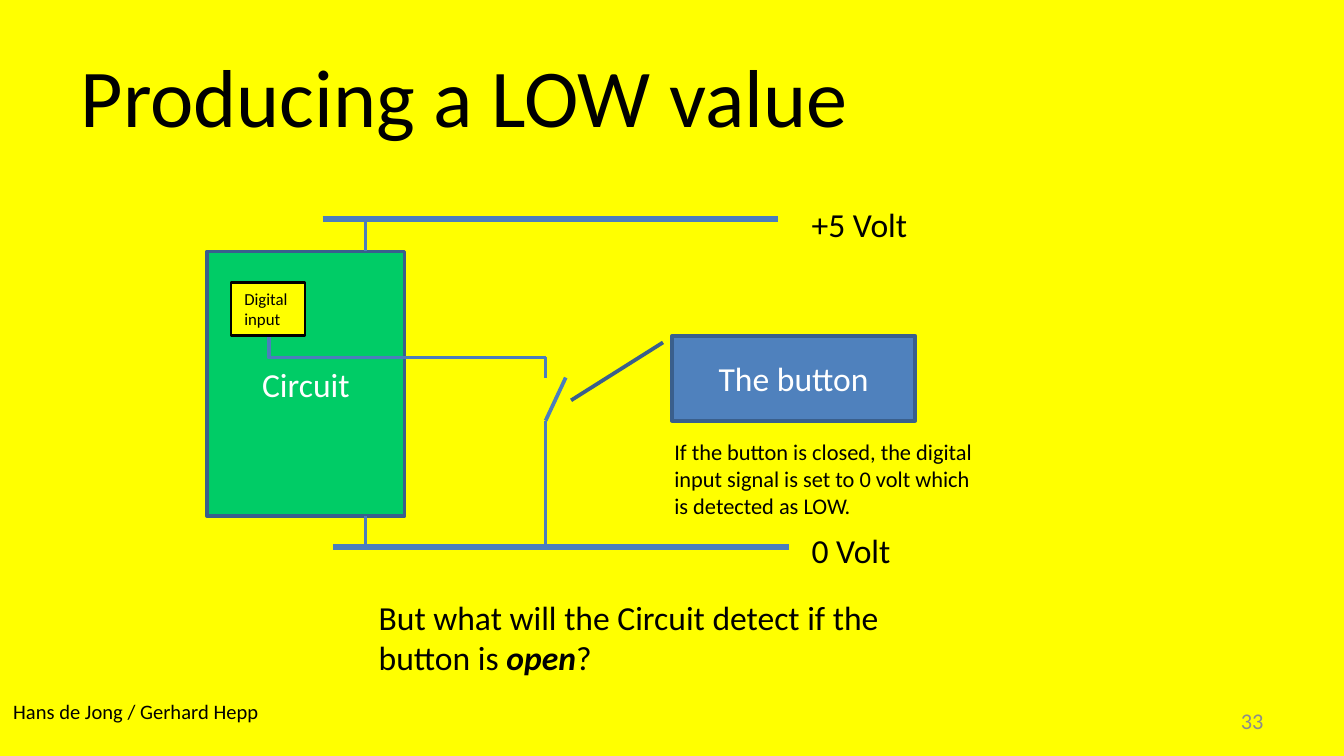
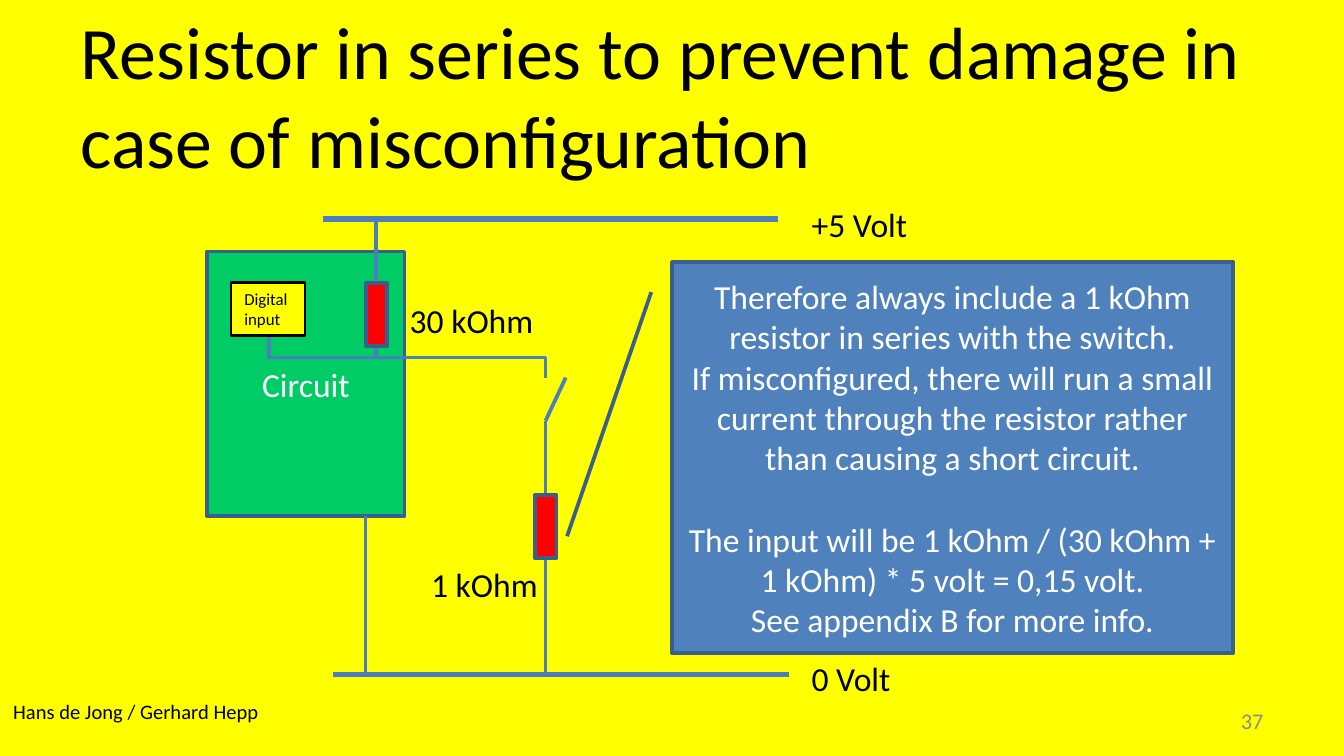
from lxml.etree import SubElement
from pptx import Presentation
from pptx.dml.color import RGBColor
from pptx.enum.shapes import MSO_CONNECTOR, MSO_SHAPE
from pptx.enum.text import MSO_ANCHOR, MSO_AUTO_SIZE, PP_ALIGN
from pptx.oxml.ns import qn
from pptx.util import Pt

YELLOW = RGBColor(0xFF, 0xFF, 0x00)
GREEN = RGBColor(0x00, 0xCC, 0x66)
RED = RGBColor(0xFF, 0x00, 0x00)
BLUE = RGBColor(0x4F, 0x81, 0xBD)
WIRE = RGBColor(0x4B, 0x7E, 0xBC)
EDGE = RGBColor(0x3A, 0x5F, 0x8C)
GRAY = RGBColor(0x8C, 0x8C, 0x8C)
BLACK = RGBColor(0x00, 0x00, 0x00)
WHITE = RGBColor(0xFF, 0xFF, 0xFF)
FONT = "Calibri"


def style(para, size, color, align=PP_ALIGN.LEFT):
    para.alignment = align
    para.font.name = FONT
    para.font.size = Pt(size)
    para.font.color.rgb = color


def label(slide, box, text, size=18, color=BLACK, align=PP_ALIGN.LEFT,
          wrap=True, anchor=MSO_ANCHOR.TOP):
    frame = slide.shapes.add_textbox(*map(Pt, box)).text_frame
    frame.word_wrap = wrap
    frame.vertical_anchor = anchor
    frame.auto_size = MSO_AUTO_SIZE.SHAPE_TO_FIT_TEXT
    para = frame.paragraphs[0]
    para.text = text
    style(para, size, color, align)
    return para


def block(slide, box, fill, lines=(), kind=MSO_SHAPE.RECTANGLE, edge=EDGE,
          width=2, size=18, color=WHITE, align=PP_ALIGN.CENTER,
          anchor=MSO_ANCHOR.MIDDLE):
    shape = slide.shapes.add_shape(kind, *map(Pt, box))
    shape.shadow.inherit = False
    shape.fill.solid()
    shape.fill.fore_color.rgb = fill
    shape.line.color.rgb = edge
    shape.line.width = Pt(width)
    frame = shape.text_frame
    frame.word_wrap = True
    frame.vertical_anchor = anchor
    for i, text in enumerate(lines):
        para = frame.add_paragraph() if i else frame.paragraphs[0]
        para.text = text
        style(para, size, color, align)
    return shape


def ink(link, width):
    link.line.color.rgb = WIRE
    link.line.width = Pt(width)
    SubElement(link._element.spPr, qn("a:effectLst"))


def wire(slide, x1, y1, x2, y2, width=2):
    ink(slide.shapes.add_connector(
        MSO_CONNECTOR.STRAIGHT, Pt(x1), Pt(y1), Pt(x2), Pt(y2)), width)


def elbow(slide, x1, y1, x2, y2, turn, kind, bend=None):
    wide, high = abs(y2 - y1), abs(x2 - x1)
    left, top = (x1 + x2 - wide) / 2, (y1 + y2 - high) / 2
    link = slide.shapes.add_connector(
        MSO_CONNECTOR.ELBOW, Pt(left), Pt(top), Pt(left + wide), Pt(top + high))
    props = link._element.spPr
    frame = props.find(qn("a:xfrm"))
    frame.set("rot", str(turn * 60000))
    frame.set("flipH", "1")
    shape = props.find(qn("a:prstGeom"))
    shape.set("prst", kind)
    if bend is not None:
        SubElement(shape.find(qn("a:avLst")), qn("a:gd"),
                   name="adj1", fmla=f"val {bend}")
    ink(link, 2)


def callout(slide, box, lines, tip, gap=None):
    shape = block(slide, box, BLUE, lines, MSO_SHAPE.LINE_CALLOUT_1)
    for i, value in enumerate((0.077, -0.037, *tip)):
        shape.adjustments[i] = value
    if gap is not None:
        shape.text_frame.paragraphs[gap].space_before = Pt(22)


def resist(slide, x, y, name, spot):
    wide, high = 33.8, 11.5
    block(slide, (x - wide / 2, y - high / 2, wide, high), RED).rotation = 90
    label(slide, (*spot, 96.5, 28.8), name)


def circuit(slide, box, series):
    left, top, wide, high = box
    base = top + high
    pin = left + 33
    switch = left + 181.3
    ground = left + 84.8
    power = left + 90.6 if series else ground
    block(slide, (left, top + 17.3, 105.8, 141.8), GREEN, ["Circuit"])
    for x, y, text, lift, span in (
            (left + 61.8, top, "+5 Volt", 11.5, 66),
            (left + 67.6, base, "0 Volt", 12.5, 58)):
        wire(slide, x, y, x + 244, y, 3)
        label(slide, (left + wide, y - lift, span, 28.8), text, wrap=False)
    wire(slide, power, top, power, top + (33.8 if series else 17.3))
    wire(slide, ground, top + 159.1, ground, base)
    elbow(slide, pin, top + 63.3, switch, top + 74.1, 270, "bentConnector2")
    wire(slide, switch, top + 74.1, switch, top + 84.9)
    wire(slide, switch, top + 108, switch + 10.8, top + 84.9)
    wire(slide, switch, base, switch, top + 108)
    if series:
        elbow(slide, power, top + 68.4, pin, top + 63.3, 90,
              "bentConnector3", -111600)
        resist(slide, power, top + 51.1, "30 kOhm", (left + 101.4, top + 39.6))
        resist(slide, switch, top + 164.8, "1 kOhm", (left + 112.9, top + 181.4))
    block(slide, (left + 12.8, top + 33.8, 39.6, 28.8), YELLOW,
          ["Digital input"], edge=BLACK, width=1.5, size=9, color=BLACK,
          align=PP_ALIGN.LEFT, anchor=MSO_ANCHOR.TOP)


def start(deck, title, size, page):
    slide = deck.slides.add_slide(deck.slide_layouts[5])
    head = slide.shapes.title
    head.left, head.top, head.width, head.height = map(Pt, (36, 0, 648, 101))
    frame = head.text_frame
    frame.text = title
    frame.word_wrap = True
    frame.auto_size = MSO_AUTO_SIZE.NONE
    frame.vertical_anchor = MSO_ANCHOR.MIDDLE
    style(frame.paragraphs[0], size, BLACK)
    label(slide, (0, 370.8, 161.3, 20.9), "Hans de Jong / Gerhard Hepp", 11)
    label(slide, (643.7, 375.1, 40.3, 21.6), page, 12, GRAY,
          PP_ALIGN.RIGHT, anchor=MSO_ANCHOR.MIDDLE)
    return slide


def low(deck):
    slide = start(deck, "Producing a LOW value", 44, "33")
    circuit(slide, (111, 117.4, 316.7, 175.6), False)
    callout(slide, (360, 180, 130.3, 45.4), ["The button"], (0.76, -0.415))
    label(slide, (354.2, 231.1, 175.7, 51.1),
          "If the button is closed, the digital input signal is set "
          "to 0 volt which is detected as LOW.", 12)
    para = label(slide, (195.8, 316.1, 306, 51.1),
                 "But what will the Circuit detect if the button is ")
    word = para.add_run()
    word.text = "open"
    word.font.bold = word.font.italic = True
    para.add_run().text = "?"


def safe(deck):
    slide = start(deck, "Resistor in series to prevent damage in case of "
                  "misconfiguration", 39.6, "37")
    circuit(slide, (111, 117.4, 316.7, 244), True)
    callout(slide, (360, 140.4, 300.6, 209.6), [
        "Therefore always include a 1 kOhm resistor in series with the switch.",
        "If misconfigured, there will run a small current through the "
        "resistor rather than causing a short circuit.",
        "The input will be 1 kOhm / (30 kOhm + 1 kOhm) * 5 volt = 0,15 volt.",
        "See appendix B for more info."], (0.701, -0.187), 2)


def main():
    deck = Presentation()
    deck.slide_width, deck.slide_height = Pt(720), Pt(405)
    fill = deck.slide_master.background.fill
    fill.solid()
    fill.fore_color.rgb = YELLOW
    low(deck)
    safe(deck)
    deck.save("out.pptx")


if __name__ == "__main__":
    main()
